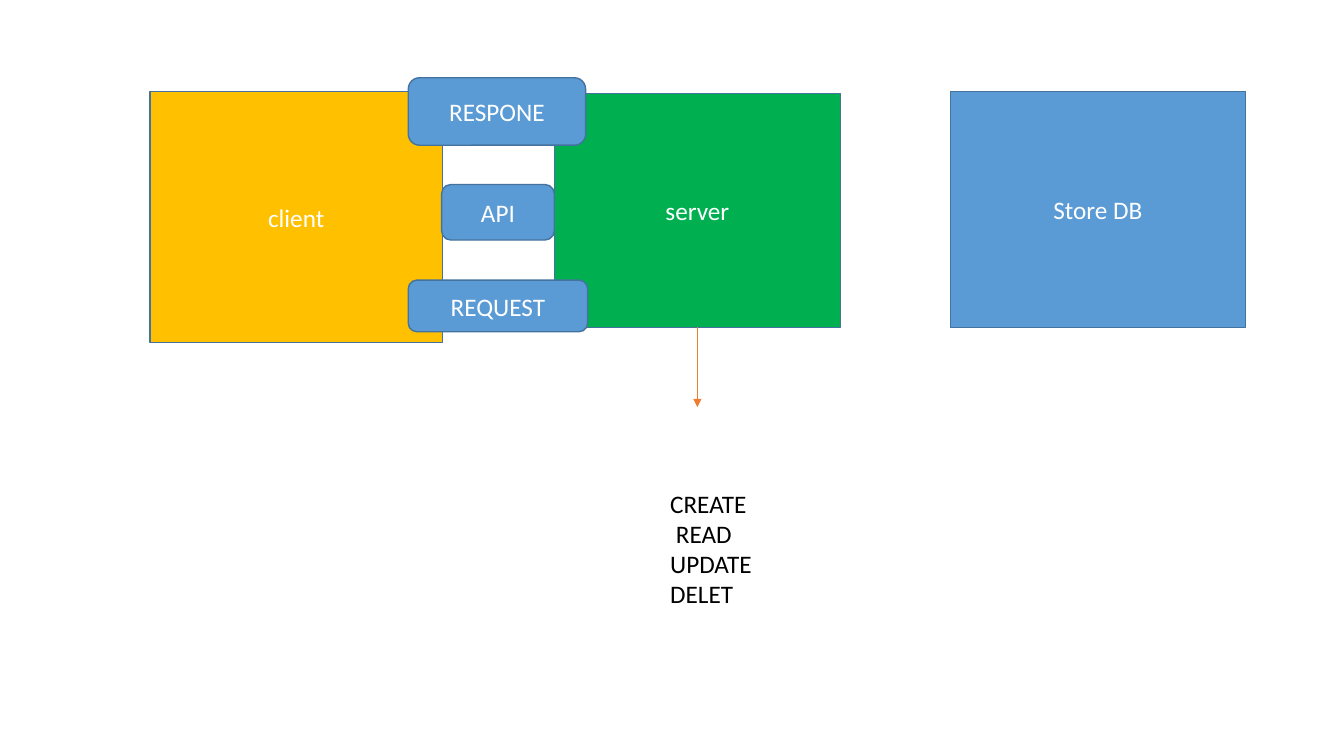
import pptx
import pptx.util
import pptx.dml.color
import pptx.enum.shapes
import pptx.enum.text
import pptx.oxml
import pptx.oxml.ns
from lxml import etree

Cm, Pt = pptx.util.Cm, pptx.util.Pt
RGBColor = pptx.dml.color.RGBColor
SHAPE = pptx.enum.shapes.MSO_SHAPE
qn = pptx.oxml.ns.qn

AMBER = RGBColor(0xFF, 0xC0, 0x00)
GREEN = RGBColor(0x00, 0xB0, 0x50)
BLUE = RGBColor(0x5B, 0x9B, 0xD5)
OUTLINE = RGBColor(0x43, 0x73, 0x9E)
ORANGE = RGBColor(0xED, 0x7D, 0x31)
WHITE = RGBColor(0xFF, 0xFF, 0xFF)
BLACK = RGBColor(0x00, 0x00, 0x00)

# Content: label, fill, left, top, width, height in cm
TIERS = [
    ("client", AMBER, 3.78, 2.31, 7.37, 6.32),
    ("server", GREEN, 13.97, 2.36, 7.21, 5.89),
    ("Store DB", BLUE, 23.95, 2.31, 7.44, 5.94),
]
MESSAGES = [
    ("RESPONE", BLUE, 10.29, 1.96, 4.47, 1.7),
    ("API", BLUE, 11.13, 4.65, 2.84, 1.4),
    ("REQUEST", BLUE, 10.29, 7.06, 4.52, 1.3),
]
OPERATIONS = ["CREATE", " READ", "UPDATE", "DELET"]
ARROW_END = 10.26


def set_font(para, color):
    para.font.name = "Calibri"
    para.font.size = Pt(18)
    para.font.color.rgb = color


def add_box(page, kind, label, fill, *place):
    box = page.shapes.add_shape(kind, *map(Cm, place))
    box.shadow.inherit = False
    box.fill.solid()
    box.fill.fore_color.rgb = fill
    box.line.color.rgb = OUTLINE
    box.line.width = Pt(1)
    box.text_frame.vertical_anchor = pptx.enum.text.MSO_ANCHOR.MIDDLE
    para = box.text_frame.paragraphs[0]
    para.text = label
    para.alignment = pptx.enum.text.PP_ALIGN.CENTER
    set_font(para, WHITE)
    return box


deck = pptx.Presentation()
deck.slide_width, deck.slide_height = Cm(33.87), Cm(19.05)
page = deck.slides.add_slide(deck.slide_layouts[6])

# Client, server and database
client, server, database = [add_box(page, SHAPE.RECTANGLE, *tier) for tier in TIERS]

# Arrow from the server down to its operations
middle = server.left + server.width // 2
arrow = page.shapes.add_connector(
    pptx.enum.shapes.MSO_CONNECTOR.STRAIGHT,
    middle, server.top + server.height, middle, Cm(ARROW_END))
arrow.begin_connect(server, 2)
arrow.line.color.rgb = ORANGE
arrow.line.width = Pt(0.5)
etree.SubElement(arrow.line._get_or_add_ln(), qn("a:tailEnd"), type="triangle")
etree.SubElement(arrow._element.spPr, qn("a:effectLst"))

# Operations list
listing = page.shapes.add_textbox(Cm(16.64), Cm(12.17), Cm(2.59), Cm(3.33))
frame = listing.text_frame
frame.word_wrap = False
frame.auto_size = pptx.enum.text.MSO_AUTO_SIZE.SHAPE_TO_FIT_TEXT
for index, operation in enumerate(OPERATIONS):
    para = frame.add_paragraph() if index else frame.paragraphs[0]
    para.text = operation
    set_font(para, BLACK)

# Messages between client and server
for message in MESSAGES:
    add_box(page, SHAPE.ROUNDED_RECTANGLE, *message)

deck.save("out.pptx")
